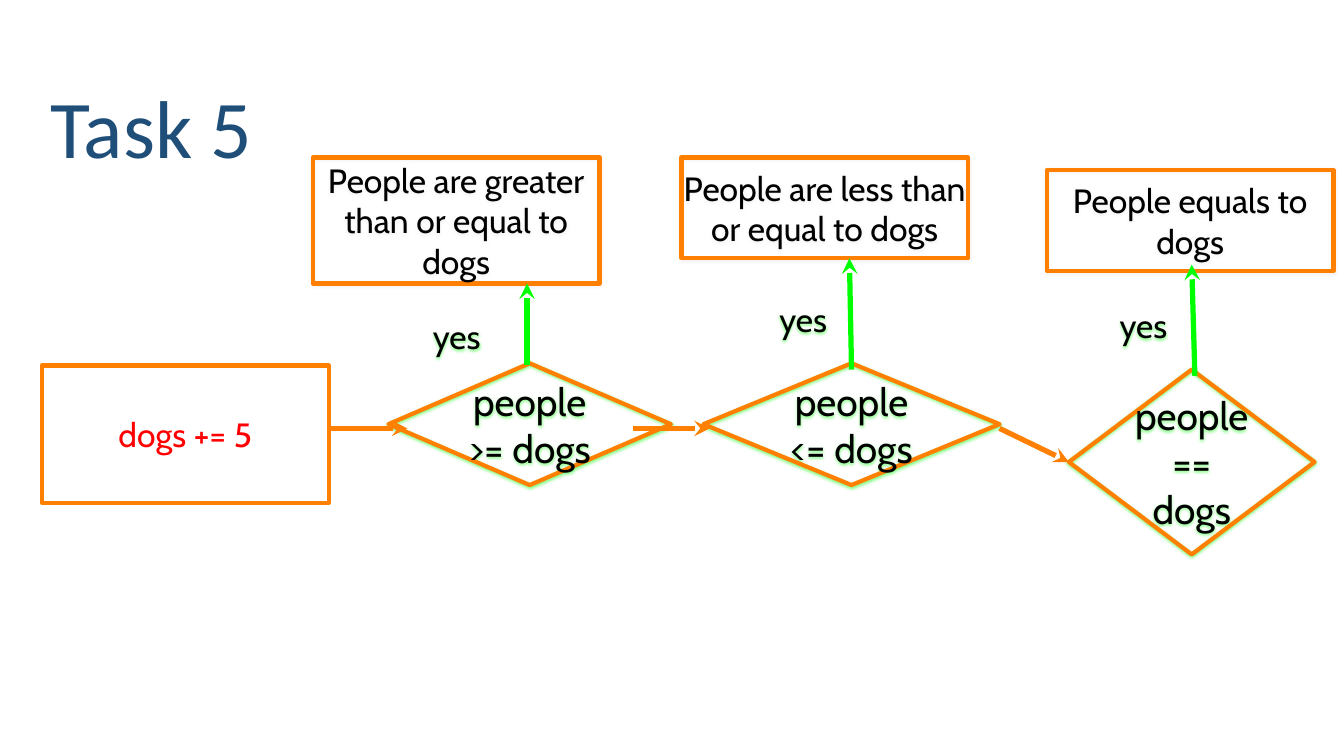
"""Build the Task 5 flowchart comparing people with dogs."""
import pptx
import pptx.dml.color
import pptx.enum.shapes
import pptx.enum.text
import pptx.oxml
import pptx.oxml.ns
import pptx.util

PX = 12700
ORANGE = pptx.dml.color.RGBColor(0xFF, 0x7F, 0x00)
GREEN = pptx.dml.color.RGBColor(0x00, 0xFF, 0x00)
RED = pptx.dml.color.RGBColor(0xFF, 0x00, 0x00)
BLACK = pptx.dml.color.RGBColor(0x00, 0x00, 0x00)
NAVY = pptx.dml.color.RGBColor(0x1F, 0x4E, 0x79)
GRAY = pptx.dml.color.RGBColor(0xE7, 0xE6, 0xE6)
SHAPES = pptx.enum.shapes.MSO_SHAPE
ALIGN = pptx.enum.text.PP_ALIGN


def write(shape, text, size=32, color=BLACK, font="Cabin", align=ALIGN.CENTER, inset=0, wrap=True):
    frame = shape.text_frame
    frame.word_wrap = wrap
    frame.vertical_anchor = pptx.enum.text.MSO_ANCHOR.MIDDLE
    frame.margin_left = frame.margin_right = inset * PX
    frame.margin_top = frame.margin_bottom = inset * PX
    paragraph = frame.paragraphs[0]
    paragraph.alignment = align
    run = paragraph.add_run()
    run.text = text
    run.font.size = pptx.util.Pt(size)
    run.font.name = font
    run.font.color.rgb = color


class Flowchart:
    def __init__(self, slide, border=4, stroke=5):
        self.slide = slide
        self.border = border
        self.stroke = stroke

    def shadow(self, shape, color):
        shape._element.spPr.append(pptx.oxml.parse_xml(
            f'<a:effectLst {pptx.oxml.ns.nsdecls("a")}>'
            '<a:outerShdw blurRad="38100" dist="12700" dir="5400000" rotWithShape="0">'
            f'<a:srgbClr val="{color}"><a:alpha val="50000"/></a:srgbClr>'
            '</a:outerShdw></a:effectLst>'))

    def text_box(self, bounds, text, **style):
        shape = self.slide.shapes.add_textbox(*(PX * length for length in bounds))
        write(shape, text, **style)
        return shape

    def node(self, kind, bounds, text, shadow=None, **style):
        shape = self.slide.shapes.add_shape(kind, *(PX * length for length in bounds))
        shape.fill.background()
        shape.line.color.rgb = ORANGE
        shape.line.width = pptx.util.Pt(self.border)
        if shadow is None:
            shape.shadow.inherit = False
        else:
            self.shadow(shape, shadow)
        write(shape, text, **style)
        return shape

    def label(self, left, top, text):
        shape = self.text_box((left, top, 50, 44), text, wrap=False)
        shape.text_frame.auto_size = pptx.enum.text.MSO_AUTO_SIZE.SHAPE_TO_FIT_TEXT
        self.shadow(shape, GREEN)

    def arrow(self, points, color):
        connector = self.slide.shapes.add_connector(
            pptx.enum.shapes.MSO_CONNECTOR.STRAIGHT, *(PX * length for length in points))
        connector.line.color.rgb = color
        connector.line.width = pptx.util.Pt(self.stroke)
        namespace = pptx.oxml.ns.nsdecls("a")
        connector.line._get_or_add_ln().append(
            pptx.oxml.parse_xml(f'<a:tailEnd {namespace} type="stealth"/>'))
        connector._element.spPr.append(pptx.oxml.parse_xml(f'<a:effectLst {namespace}/>'))
        return connector


def main():
    presentation = pptx.Presentation()
    presentation.slide_width, presentation.slide_height = 1280 * PX, 720 * PX
    slide = presentation.slides.add_slide(presentation.slide_layouts[6])
    chart = Flowchart(slide)

    chart.text_box((44, 24, 1189, 192), "Task 5", size=78, color=NAVY,
                   font="Calibri", align=ALIGN.LEFT, inset=4)
    chart.node(SHAPES.RECTANGLE, (40, 348, 273, 131), "dogs += 5", color=RED)

    branches = [
        ("people >= dogs", (370, 346, 269, 116),
         "People are greater than or equal to dogs", (298, 150, 273, 120)),
        ("people <= dogs", (670, 346, 282, 116),
         "People are less than or equal to dogs", (649, 150, 273, 96)),
        ("people == dogs", (1018, 352, 234, 176),
         "People equals to dogs", (997, 162, 273, 96)),
    ]
    for condition, diamond, outcome, rectangle in branches:
        decision = chart.node(SHAPES.DIAMOND, diamond, condition, shadow=GREEN, size=37)
        chart.node(SHAPES.RECTANGLE, rectangle, outcome, shadow=GRAY)

    for points in [(315, 408, 388, 408), (603, 408, 676, 408)]:
        chart.arrow(points, ORANGE)
    chart.arrow((952, 408, 1018, 440), ORANGE).end_connect(decision, 1)

    for points in [(502, 348, 502, 270), (811, 352, 809, 246), (1138, 358, 1135, 252)]:
        chart.arrow(points, GREEN)
    for left, top in [(410, 298), (740, 282), (1064, 288)]:
        chart.label(left, top, "yes")

    presentation.save("out.pptx")


if __name__ == "__main__":
    main()
